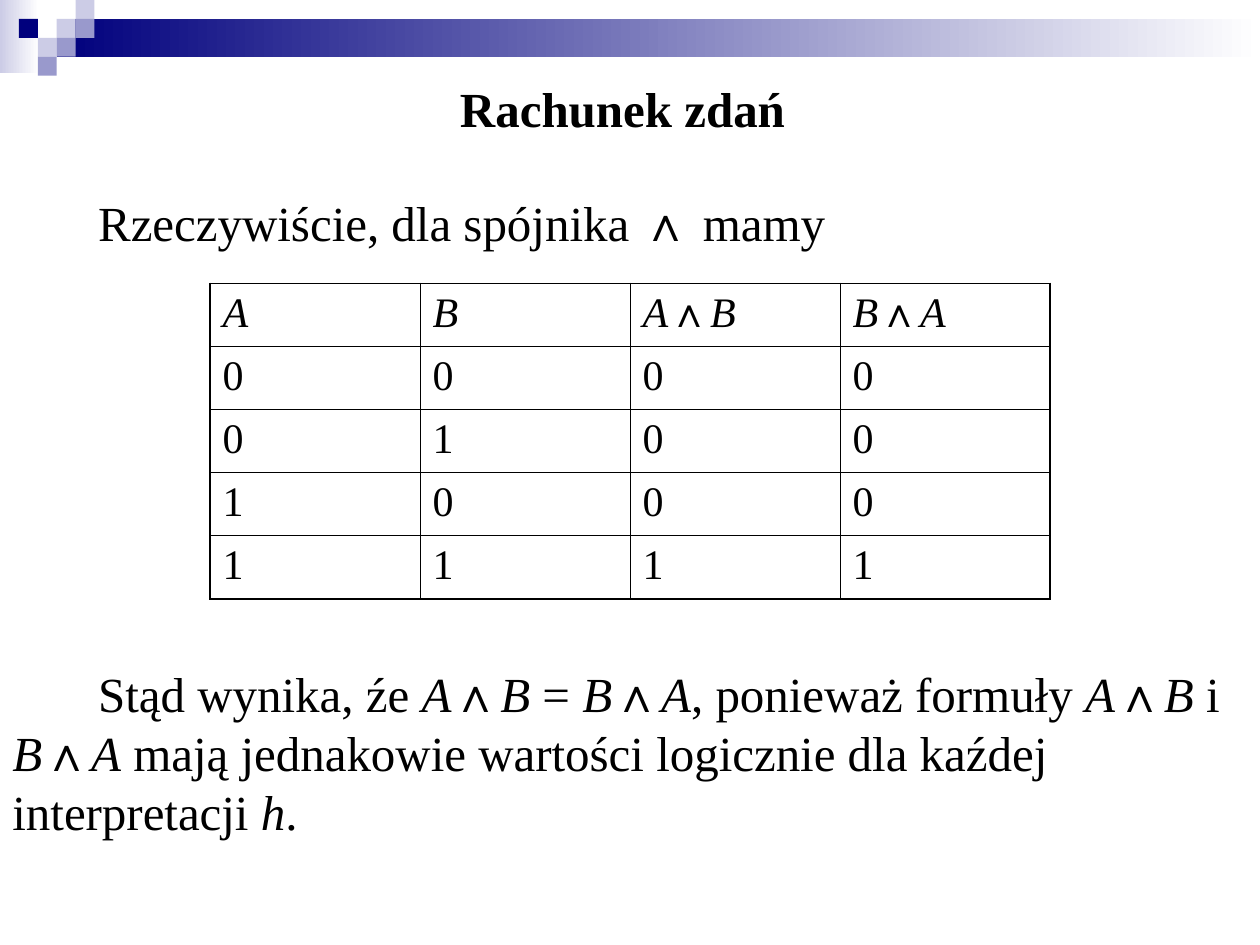
from lxml import etree
from pptx import Presentation
from pptx.dml.color import RGBColor
from pptx.enum.shapes import MSO_SHAPE
from pptx.enum.text import MSO_ANCHOR, PP_ALIGN
from pptx.oxml.ns import qn
from pptx.util import Pt

RECTANGLE = MSO_SHAPE.RECTANGLE
TOP = MSO_ANCHOR.TOP
LEFT, CENTER = PP_ALIGN.LEFT, PP_ALIGN.CENTER

BLACK, WHITE = "000000", "FFFFFF"
NAVY, LILAC, VIOLET = "00007D", "CCCCE6", "9999CC"
SERIF, SANS = "Times New Roman", "Arial"

# Asterisks enclose italic text.
TITLE = "Rachunek zdań"
INTRO = "Rzeczywiście, dla spójnika ∧ mamy"
CONCLUSION = (
    "Stąd wynika, źe *A*∧*B *= *B*∧*A*, ponieważ formuły *A*∧*B* i *B*∧*A* "
    "mają jednakowie wartości logicznie dla kaźdej interpretacji *h*."
)
TRUTH_TABLE = [
    ("*A*", "*B*", "*A*∧*B*", "*B*∧*A*"),
    ("0", "0", "0", "0"),
    ("0", "1", "0", "0"),
    ("1", "0", "0", "0"),
    ("1", "1", "1", "1"),
]

# left, top, width, height, colour at the left end
BANDS = [(0, 0, 22.3, 41.8, LILAC), (32.4, 10.8, 687.6, 21.6, NAVY)]
SQUARE = 10.8
# column, row, colour
SQUARES = [
    (3, 1, LILAC), (4, 0, LILAC), (4, 1, VIOLET), (2, 2, LILAC),
    (1, 1, NAVY), (3, 2, VIOLET), (2, 3, VIOLET),
]

TEXT_WIDTH = 711.4
INDENT = 49
TABLE_LEFT, TABLE_TOP = 120, 162
COLUMN_WIDTH, ROW_HEIGHT = 120, 36
OUTER_LINE, INNER_LINE = 1.08, 0.45


def color(value):
    return RGBColor.from_string(value)


def add_rectangle(page, left, top, width, height):
    shape = page.shapes.add_shape(RECTANGLE, Pt(left), Pt(top), Pt(width), Pt(height))
    shape.shadow.inherit = False
    shape.line.fill.background()
    return shape


def write(paragraph, text, size):
    """Add the text, with marked parts in italics and ∧ in the sans font."""
    for index, piece in enumerate(text.split("*")):
        for part in filter(None, piece.partition("∧")):
            span = paragraph.add_run()
            span.text = part
            span.font.name = SANS if part == "∧" else SERIF
            span.font.size = Pt(size)
            span.font.italic = index % 2 == 1
            span.font.color.rgb = color(BLACK)


def add_text(page, text, top, height):
    box = page.shapes.add_textbox(0, Pt(top), Pt(TEXT_WIDTH), Pt(height))
    box.text_frame.word_wrap = True
    paragraph = box.text_frame.paragraphs[0]
    paragraph.alignment = LEFT
    paragraph._p.get_or_add_pPr().set("indent", str(Pt(INDENT)))
    write(paragraph, text, 28)


def set_borders(cell, widths):
    """Draw the left, right, top and bottom borders, in that order."""
    properties = cell._tc.get_or_add_tcPr()
    for index, (side, width) in enumerate(zip("LRTB", widths)):
        line = etree.Element(qn(f"a:ln{side}"), w=str(Pt(width)))
        fill = etree.SubElement(line, qn("a:solidFill"))
        etree.SubElement(fill, qn("a:srgbClr"), val=BLACK)
        properties.insert(index, line)


def add_truth_table(page):
    rows, columns = len(TRUTH_TABLE), len(TRUTH_TABLE[0])
    table = page.shapes.add_table(
        rows, columns, Pt(TABLE_LEFT), Pt(TABLE_TOP),
        Pt(columns * COLUMN_WIDTH), Pt(rows * ROW_HEIGHT),
    ).table
    table.first_row = table.horz_banding = False
    for row, values in enumerate(TRUTH_TABLE):
        for column, value in enumerate(values):
            cell = table.cell(row, column)
            cell.fill.background()
            write(cell.text_frame.paragraphs[0], value, 24)
            at_edge = (column == 0, column == columns - 1, row == 0, row == rows - 1)
            set_borders(cell, [OUTER_LINE if edge else INNER_LINE for edge in at_edge])


def add_title(page):
    title = page.shapes.title
    title.left, title.top, title.width, title.height = 0, Pt(41), Pt(TEXT_WIDTH), Pt(40)
    frame = title.text_frame
    frame.text = TITLE
    frame.vertical_anchor = TOP
    paragraph = frame.paragraphs[0]
    paragraph.alignment = CENTER
    font = paragraph.runs[0].font
    font.name, font.size, font.bold = SERIF, Pt(28), True
    font.color.rgb = color(BLACK)


def main():
    deck = Presentation()
    deck.slide_width, deck.slide_height = Pt(720), Pt(540)
    page = deck.slides.add_slide(deck.slide_layouts[5])

    for *place, start in BANDS:
        fill = add_rectangle(page, *place).fill
        fill.gradient()
        fill.gradient_angle = 0
        for stop, value in zip(fill.gradient_stops, (start, WHITE)):
            stop.color.rgb = color(value)
    for column, row, value in SQUARES:
        square = add_rectangle(page, column * SQUARE, row * SQUARE, SQUARE, SQUARE)
        square.fill.solid()
        square.fill.fore_color.rgb = color(value)

    add_title(page)
    add_text(page, INTRO, 106.3, 40)
    add_truth_table(page)
    add_text(page, CONCLUSION, 375.7, 107)
    deck.save("out.pptx")


if __name__ == "__main__":
    main()
